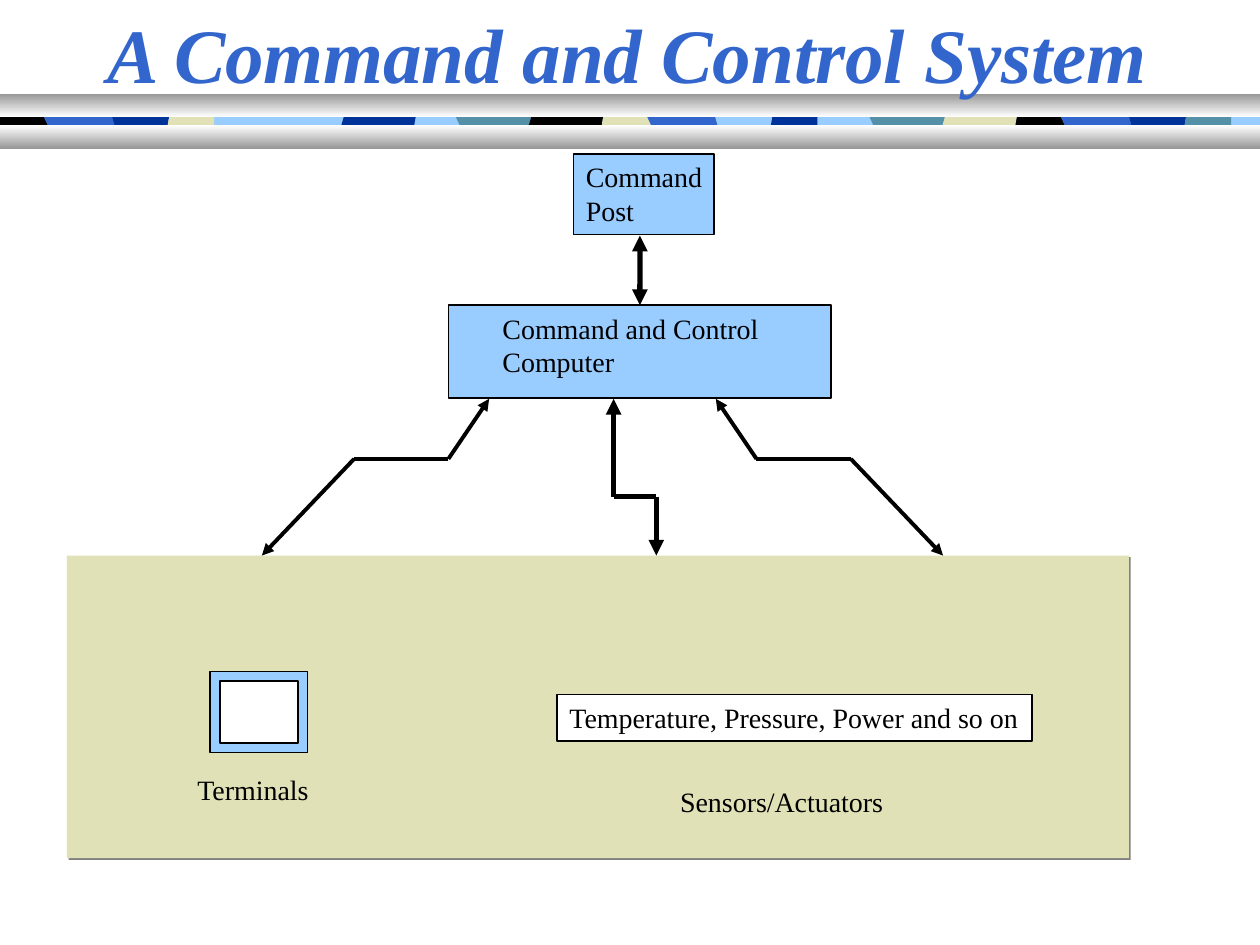
from itertools import pairwise

from lxml import etree
from pptx import Presentation
from pptx.dml.color import RGBColor
from pptx.enum.shapes import MSO_CONNECTOR, MSO_SHAPE
from pptx.enum.text import MSO_ANCHOR, MSO_AUTO_SIZE, PP_ALIGN
from pptx.oxml import parse_xml
from pptx.oxml.ns import nsdecls, qn
from pptx.util import Cm, Pt

FONT = "Times New Roman"
BLACK, WHITE, GREY = "000000", "FFFFFF", "999999"
BLUE, NAVY, SKY = "3366CC", "003399", "99CCFF"
TEAL, BEIGE = "5490A8", "E1E1B7"

# Stripe joints in one repeat: distance from its start, slant
JOINTS = [(0, 0.08), (1.52, -0.05), (2.97, -0.03), (3.86, 0.08),
          (5.23, 0.05), (6.38, -0.03), (7.29, 0)]
# Start of each repeat, first joint used, colours
REPEATS = [(-2.97, 2, [BLACK, BLUE, NAVY, BEIGE]),
           (5.41, 1, [NAVY]),
           (9.19, 0, [TEAL, BLACK, BEIGE, BLUE, SKY, NAVY]),
           (17.53, 0, [TEAL, BEIGE, BLACK, BLUE, NAVY, TEAL])]


def rgb(value):
    return RGBColor.from_string(value)


def style(shape, fill, line=None):
    shape.shadow.inherit = False
    shape.fill.solid()
    shape.fill.fore_color.rgb = rgb(fill)
    if line:
        shape.line.color.rgb = rgb(line)
        shape.line.width = Pt(1)
    else:
        shape.line.fill.background()


def add_rect(slide, box, fill, line=None):
    rect = slide.shapes.add_shape(MSO_SHAPE.RECTANGLE, *map(Cm, box))
    style(rect, fill, line)
    return rect


def add_text(shape, *lines):
    frame = shape.text_frame
    frame.word_wrap = False
    frame.auto_size = MSO_AUTO_SIZE.SHAPE_TO_FIT_TEXT
    frame.vertical_anchor = MSO_ANCHOR.TOP
    # Spare room on the right keeps a tight line whole
    frame.margin_right = Cm(0.1)
    for number, line in enumerate(lines):
        paragraph = frame.add_paragraph() if number else frame.paragraphs[0]
        paragraph.alignment = PP_ALIGN.LEFT
        run = paragraph.add_run()
        run.text = line
        run.font.name, run.font.size = FONT, Pt(16)
        run.font.color.rgb = rgb(BLACK)


def add_label(slide, box, *lines):
    add_text(slide.shapes.add_textbox(*map(Cm, box)), *lines)


def add_line(slide, start, end, width, head=False, tail=False):
    line = slide.shapes.add_connector(MSO_CONNECTOR.STRAIGHT, *map(Cm, (*start, *end)))
    line.line.color.rgb = rgb(BLACK)
    line.line.width = Pt(width)
    outline = line.element.spPr.find(qn("a:ln"))
    for wanted, tag in ((head, "a:headEnd"), (tail, "a:tailEnd")):
        if wanted:
            etree.SubElement(outline, qn(tag), type="triangle")
    etree.SubElement(line.element.spPr, qn("a:effectLst"))
    return line


def add_route(slide, points, width):
    """A bent line with an arrowhead at each end."""
    legs = list(pairwise(points))
    for number, (start, end) in enumerate(legs):
        add_line(slide, start, end, width, number == 0, number == len(legs) - 1)


def add_header(slide, box):
    left, top, width, height = box
    rail = 0.46
    band_top, band_height = top + 0.25, 0.71
    add_rect(slide, (left, band_top, width, band_height), SKY)

    # Coloured pieces of the stripe
    levels = [band_top, top + rail, top + height - rail, band_top + band_height]
    for start, first, colours in REPEATS:
        for (x1, slant1), (x2, slant2), colour in zip(JOINTS[first:], JOINTS[first + 1:], colours):
            sides = [[(Cm(max(left, left + start + x + shift)), Cm(y))
                      for y, shift in zip(levels, (0, 0, slant, slant))]
                     for x, slant in ((x1, slant1), (x2, slant2))]
            outline = sides[0] + sides[1][::-1]
            builder = slide.shapes.build_freeform(*outline[0])
            builder.add_line_segments(outline[1:])
            style(builder.convert_to_shape(), colour)

    # Shaded rails above and below it
    for y, colours in ((top, (GREY, WHITE)), (top + height - rail, (WHITE, GREY))):
        bar = add_rect(slide, (left, y, width, rail), GREY)
        bar.fill.gradient()
        bar.fill.gradient_angle = 270
        for position, (stop, colour) in enumerate(zip(bar.fill.gradient_stops, colours)):
            stop.color.rgb = rgb(colour)
            stop.position = position


def add_title(slide, box):
    title = slide.shapes.title
    title.left, title.top, title.width, title.height = map(Cm, box)
    frame = title.text_frame
    frame.auto_size = MSO_AUTO_SIZE.NONE
    frame.vertical_anchor = MSO_ANCHOR.MIDDLE
    frame.paragraphs[0].alignment = PP_ALIGN.CENTER
    run = frame.paragraphs[0].add_run()
    run.text = "A Command and Control System"
    run.font.name, run.font.size = FONT, Pt(44)
    run.font.bold = run.font.italic = True
    run.font.color.rgb = rgb(BLUE)
    # Bring the title in front of the header rails
    title.element.getparent().append(title.element)


def add_field(slide, box):
    """The panel with the terminals and the sensors."""
    left, top, _, _ = box
    panel = add_rect(slide, box, BEIGE)
    panel.element.spPr.find(qn("a:effectLst")).append(parse_xml(
        f'<a:outerShdw {nsdecls("a")} dist="17780" dir="2700000" algn="ctr" rotWithShape="0">'
        '<a:srgbClr val="808080"/></a:outerShdw>'))

    # Terminal
    add_rect(slide, (left + 2.89, top + 2.34, 1.96, 1.63), SKY, BLACK)
    add_rect(slide, (left + 3.08, top + 2.53, 1.58, 1.25), WHITE, BLACK)
    add_label(slide, (left + 2.38, top + 4.24, 2.79, 0.94), "Terminals")

    # Sensors
    sensors = add_rect(slide, (left + 9.88, top + 2.8, 9.58, 0.94), WHITE, BLACK)
    add_text(sensors, "Temperature, Pressure, Power and so on")
    add_label(slide, (left + 12.11, top + 4.5, 4.6, 0.94), "Sensors/Actuators")


def add_control(slide, box):
    """Command post, computer and the routes down to the field."""
    left, top, width, height = box
    bottom = top + height
    computer_top, computer_bottom = top + 3.05, top + 4.94
    computer = add_rect(slide, (left + 3.76, computer_top, 7.72, 1.88), SKY, BLACK)
    add_label(slide, (left + 4.6, computer_top, 5.66, 1.63), "Command and Control", "Computer")
    post = add_rect(slide, (left + 6.28, top, 2.84, 1.63), SKY, BLACK)
    add_text(post, "Command", "Post")

    # Post to computer
    link_x = left + 7.62
    link = add_line(slide, (link_x, top + 1.65), (link_x, computer_top), 3, True, True)
    link.end_connect(computer, 0)

    # Outer routes mirror each other
    bend = top + 6.15
    route = [(4.58, computer_bottom), (3.76, bend), (1.86, bend), (0, bottom)]
    add_route(slide, [(left + x, y) for x, y in route], 2.25)
    add_route(slide, [(left + width - x, y) for x, y in route], 2.25)

    # Middle route
    step = top + 6.91
    add_route(slide, [(left + 7.09, computer_bottom), (left + 7.09, step),
                      (left + 7.95, step), (left + 7.95, bottom)], 3)


def main():
    deck = Presentation()
    deck.slide_width, deck.slide_height = Cm(25.4), Cm(19.05)
    slide = deck.slides.add_slide(deck.slide_layouts[5])
    add_header(slide, (0, 1.9, 25.4, 1.09))
    add_title(slide, (0, 0, 25.32, 2.11))
    add_field(slide, (1.35, 11.2, 21.41, 6.1))
    add_control(slide, (5.28, 3.1, 13.73, 8.1))
    deck.save("out.pptx")


if __name__ == "__main__":
    main()
